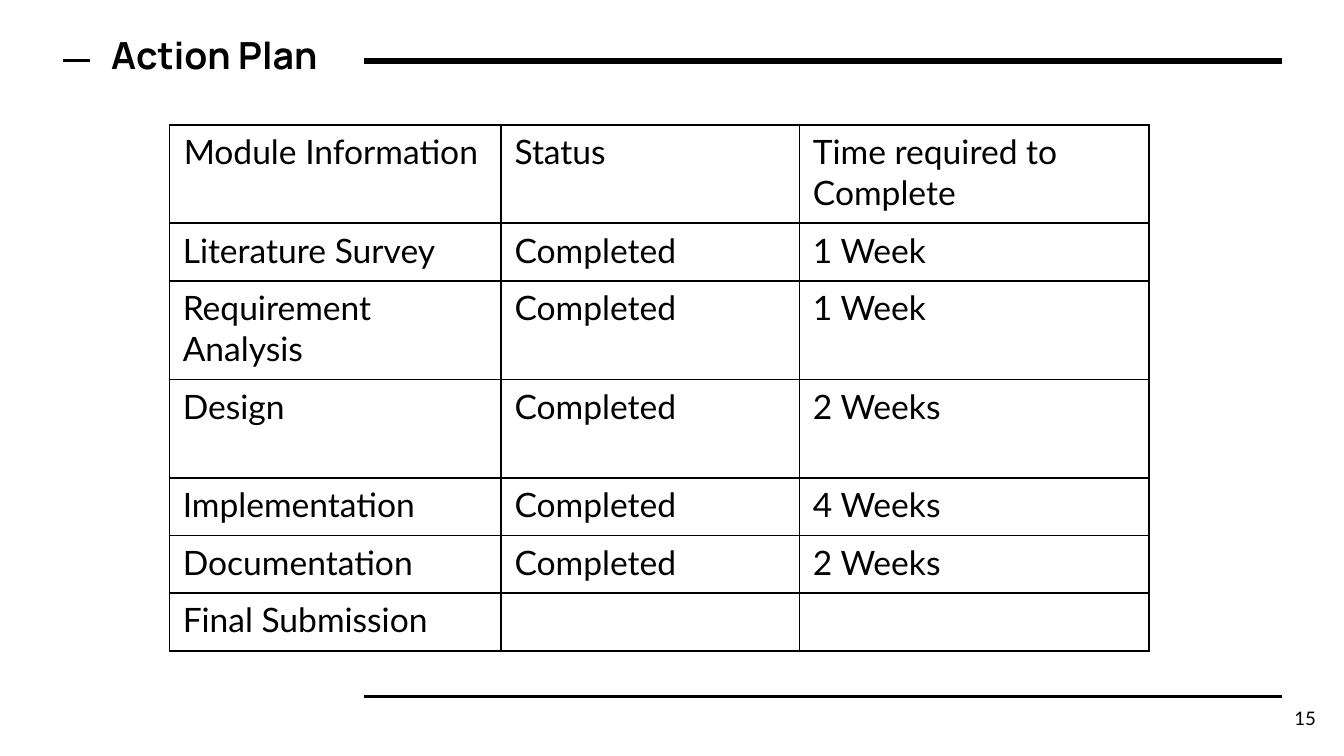
from lxml.etree import SubElement
from pptx import Presentation
from pptx.dml.color import RGBColor
from pptx.enum.shapes import MSO_CONNECTOR
from pptx.enum.text import MSO_ANCHOR as Anchor, PP_ALIGN as Align
from pptx.oxml import parse_xml
from pptx.oxml.ns import nsdecls, qn
from pptx.util import Cm, Pt

BLACK = RGBColor(0x00, 0x00, 0x00)
WHITE = RGBColor(0xFF, 0xFF, 0xFF)

HEADING = {"name": "Manrope", "size": Pt(20), "bold": True}
BODY = {"name": "Lato", "size": Pt(18), "bold": False}
SMALL = {"name": "Lato", "size": Pt(10), "bold": False}

COLUMN_WIDTHS = [6.27, 5.64, 6.6]
SINGLE, DOUBLE = 1.09, 1.86
# Row height, then the three cells
ROWS = [
    (DOUBLE, "Module Information ", "Status", "Time required to Complete"),
    (SINGLE, "Literature Survey", "Completed", "1 Week"),
    (DOUBLE, "Requirement Analysis", "Completed", "1 Week"),
    (DOUBLE, "Design", "Completed", "2 Weeks"),
    (SINGLE, "Implementation", "Completed", "4 Weeks"),
    (SINGLE, "Documentation", "Completed", "2 Weeks"),
    (SINGLE, "Final Submission", "", ""),
]


class SlideBuilder:
    """Holds the style and the slide being drawn; lengths are in cm."""

    def __init__(self, slide, color=BLACK, inset=0.25, border=Pt(1)):
        self.slide = slide
        self.color = color
        self.inset = Cm(inset)
        self.border = border

    def fill_paragraph(self, paragraph, text, style, align=Align.LEFT):
        paragraph.alignment = align
        run = paragraph.add_run()
        run.text = text
        for attribute, value in style.items():
            setattr(run.font, attribute, value)
        run.font.color.rgb = self.color

    def rule(self, left, right, y, weight):
        line = self.slide.shapes.add_connector(
            MSO_CONNECTOR.STRAIGHT, Cm(left), Cm(y), Cm(right), Cm(y))
        line.line.color.rgb = self.color
        line.line.width = Pt(weight)
        SubElement(line._element.spPr, qn("a:effectLst"))

    def text(self, box, text, style, align=Align.LEFT, anchor=Anchor.TOP):
        shape = self.slide.shapes.add_textbox(*map(Cm, box))
        frame = shape.text_frame
        layout = {"word_wrap": True, "vertical_anchor": anchor}
        for side in ("left", "top", "right", "bottom"):
            layout[f"margin_{side}"] = self.inset
        for attribute, value in layout.items():
            setattr(frame, attribute, value)
        self.fill_paragraph(frame.paragraphs[0], text, style, align)

    def outline_cell(self, cell):
        properties = cell._tc.get_or_add_tcPr()
        for side in "LRTB":
            properties.append(parse_xml(
                f'<a:ln{side} {nsdecls("a")} w="{self.border}"><a:solidFill>'
                f'<a:srgbClr val="{self.color}"/></a:solidFill></a:ln{side}>'))
        cell.fill.background()

    def table(self, left, top, widths, rows, style):
        heights = [row[0] for row in rows]
        table = self.slide.shapes.add_table(
            len(rows), len(widths), Cm(left), Cm(top),
            Cm(sum(widths)), Cm(sum(heights))).table
        table.first_row = table.horz_banding = False
        for column, width in zip(table.columns, widths):
            column.width = Cm(width)
        for row, (height, *texts) in zip(table.rows, rows):
            row.height = Cm(height)
            for cell, text in zip(row.cells, texts):
                self.outline_cell(cell)
                self.fill_paragraph(cell.text_frame.paragraphs[0], text, style)
        return table


def main():
    presentation = Presentation()
    presentation.slide_width, presentation.slide_height = Cm(25.4), Cm(14.29)
    slide = presentation.slides.add_slide(presentation.slide_layouts[6])
    slide.background.fill.solid()
    slide.background.fill.fore_color.rgb = WHITE
    builder = SlideBuilder(slide)

    # Rules around the heading and above the footer
    builder.rule(6.88, 24.23, 1.15, 3)
    builder.rule(6.88, 24.23, 13.16, 1.5)
    builder.rule(1.19, 1.7, 1.15, 1.5)

    # Heading and page number
    builder.text((1.85, 0.36, 6.2, 1.75), "Action Plan", HEADING)
    builder.text((23.6, 13.03, 1.52, 1.09), "15", SMALL, Align.RIGHT, Anchor.MIDDLE)

    # Schedule, with its first heading centred
    schedule = builder.table(3.2, 2.36, COLUMN_WIDTHS, ROWS, BODY)
    schedule.cell(0, 0).text_frame.paragraphs[0].alignment = Align.CENTER

    presentation.save("out.pptx")


if __name__ == "__main__":
    main()
